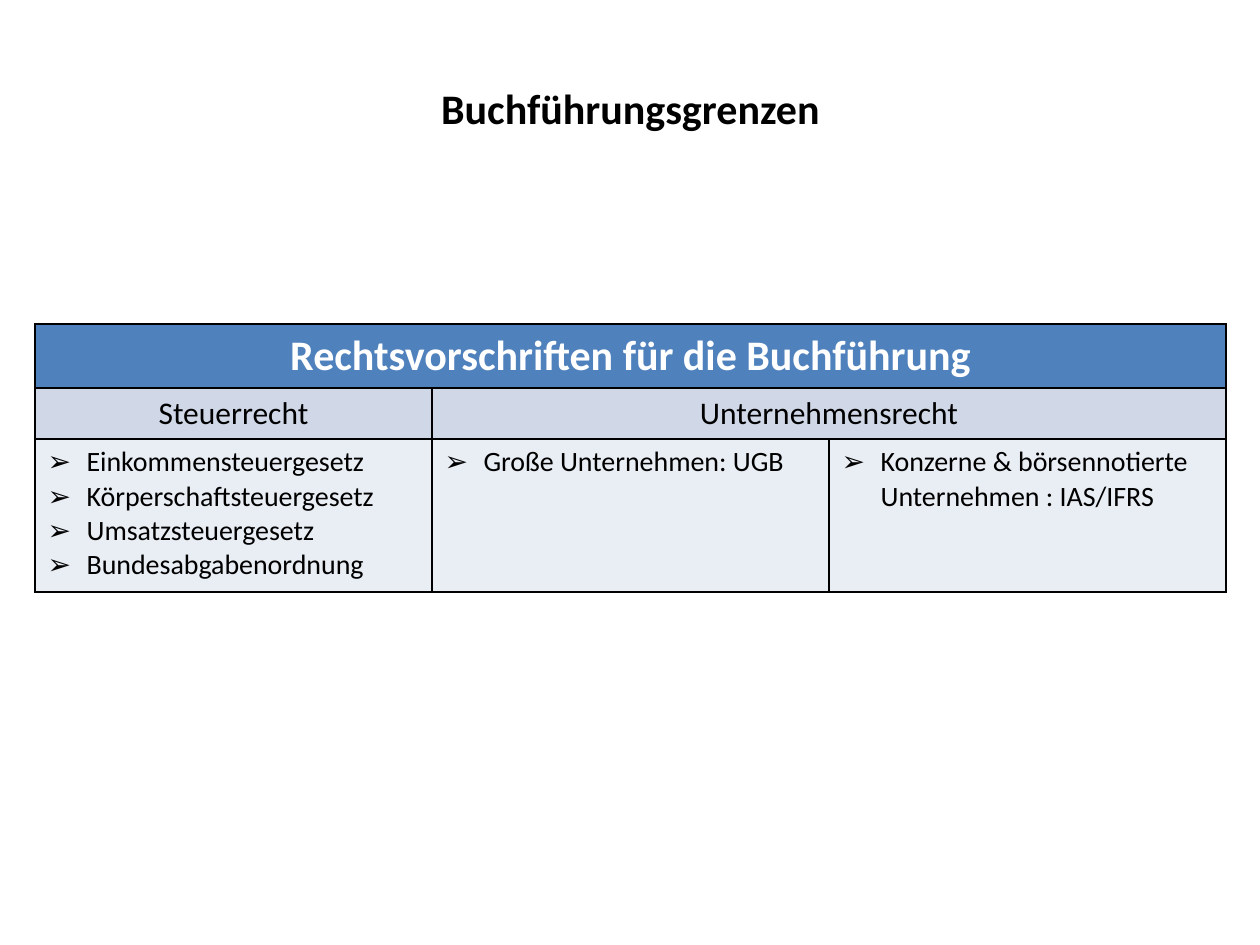
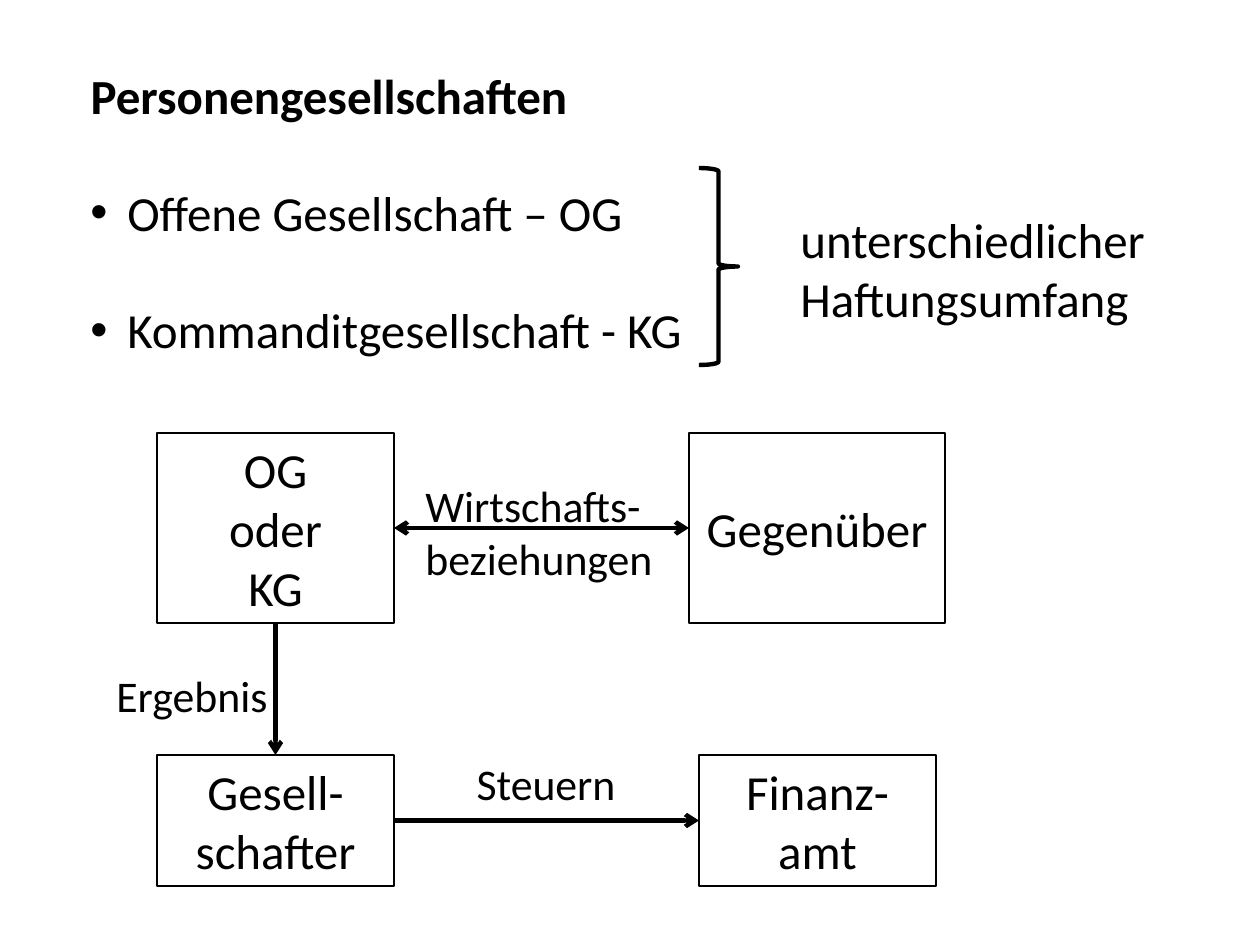
from lxml import etree
from pptx import Presentation
from pptx.dml.color import RGBColor
from pptx.enum.shapes import MSO_CONNECTOR, MSO_SHAPE
from pptx.enum.text import MSO_ANCHOR, MSO_AUTO_SIZE, PP_ALIGN
from pptx.oxml.ns import qn
from pptx.util import Pt

LEFT, CENTER = PP_ALIGN.LEFT, PP_ALIGN.CENTER
TOP, MIDDLE = MSO_ANCHOR.TOP, MSO_ANCHOR.MIDDLE
RECTANGLE, BRACE = MSO_SHAPE.RECTANGLE, MSO_SHAPE.RIGHT_BRACE
STRAIGHT, FIXED = MSO_CONNECTOR.STRAIGHT, MSO_AUTO_SIZE.NONE
SIDE_TOP, SIDE_LEFT, SIDE_BOTTOM, SIDE_RIGHT = range(4)
TITLE_ONLY = 5

FONT = "Calibri"
COLORS = {
    "ink": "000000",
    "white": "FFFFFF",
    "header": "4F81BD",
    "subheader": "D0D8E8",
    "body": "E9EDF4",
}
SCALE = 914400 / 126
SLIDE_BOX = (0, 0, 1260, 945)


def px(value):
    return round(value * SCALE)


def rgb(name):
    return RGBColor.from_string(COLORS[name])


def place(box, x, y, w, h):
    """Lengths in EMU of a part whose offset counts from the box."""
    return px(box[0] + x), px(box[1] + y), px(w), px(h)


def write(frame, text, size=28, color="ink", bold=False, align=LEFT,
          bullet=None, indent=0, gap=0):
    """Fill a text frame, one paragraph for each line of text."""
    for i, line in enumerate(text.split("\n")):
        paragraph = frame.paragraphs[0] if i == 0 else frame.add_paragraph()
        paragraph.alignment = align
        if i and gap:
            paragraph.space_before = Pt(gap)
        if bullet:
            props = paragraph._p.get_or_add_pPr()
            props.set("marL", str(px(indent)))
            props.set("indent", str(-px(indent)))
            etree.SubElement(props, qn("a:buFont"), typeface="Arial")
            etree.SubElement(props, qn("a:buChar"), char=bullet)
        run = paragraph.add_run()
        run.text = line
        run.font.name = FONT
        run.font.size = Pt(size)
        run.font.bold = bold
        run.font.color.rgb = rgb(color)


def set_frame(frame, anchor=TOP):
    frame.word_wrap = True
    frame.auto_size = FIXED
    frame.vertical_anchor = anchor


def add_titled_slide(prs, text, box, **fmt):
    slide = prs.slides.add_slide(prs.slide_layouts[TITLE_ONLY])
    title = slide.shapes.title
    title.left, title.top, title.width, title.height = place(SLIDE_BOX, *box)
    set_frame(title.text_frame)
    write(title.text_frame, text, bold=True, **fmt)
    return slide


def add_text(slide, text, bounds, **fmt):
    frame = slide.shapes.add_textbox(*bounds).text_frame
    set_frame(frame)
    write(frame, text, **fmt)


def add_outline(slide, preset, bounds, width):
    shape = slide.shapes.add_shape(preset, *bounds)
    shape.shadow.inherit = False
    shape.fill.background()
    shape.line.color.rgb = rgb("ink")
    shape.line.width = Pt(width)
    return shape


def add_party(slide, text, bounds):
    party = add_outline(slide, RECTANGLE, bounds, 0.75)
    set_frame(party.text_frame, MIDDLE)
    write(party.text_frame, text, align=CENTER)
    return party


def add_arrow(slide, start, start_side, end, end_side, both_ways=False):
    arrow = slide.shapes.add_connector(STRAIGHT, 0, 0, 0, 0)
    arrow.begin_connect(start, start_side)
    arrow.end_connect(end, end_side)
    arrow.line.color.rgb = rgb("ink")
    arrow.line.width = Pt(2.5)
    line = arrow.line._get_or_add_ln()
    if both_ways:
        etree.SubElement(line, qn("a:headEnd"), type="arrow")
    etree.SubElement(line, qn("a:tailEnd"), type="arrow")
    etree.SubElement(arrow._element.spPr, qn("a:effectLst"))


def set_borders(cell):
    props = cell._tc.get_or_add_tcPr()
    for i, side in enumerate(("lnL", "lnR", "lnT", "lnB")):
        line = etree.Element(qn("a:" + side), w=str(Pt(1)))
        fill = etree.SubElement(line, qn("a:solidFill"))
        etree.SubElement(fill, qn("a:srgbClr"), val=COLORS["ink"])
        props.insert(i, line)


def regulations_table(slide, box):
    row_heights = (63, 51, 153)
    row_fills = ("header", "subheader", "body")
    columns = 3
    table = slide.shapes.add_table(
        len(row_heights), columns, *place(box, 0, 0, *box[2:])).table
    table.first_row = table.horz_banding = False
    for column in table.columns:
        column.width = px(box[2] / columns)
    for row, height, fill in zip(table.rows, row_heights, row_fills):
        row.height = px(height)
        for cell in row.cells:
            cell.fill.solid()
            cell.fill.fore_color.rgb = rgb(fill)
            set_borders(cell)
    table.cell(0, 0).merge(table.cell(0, 2))
    table.cell(1, 1).merge(table.cell(1, 2))

    # Headings
    write(table.cell(0, 0).text_frame, "Rechtsvorschriften für die Buchführung",
          size=24, color="white", bold=True, align=CENTER)
    for column, area in enumerate(("Steuerrecht", "Unternehmensrecht")):
        write(table.cell(1, column).text_frame, area, size=18, align=CENTER)

    # Laws
    laws = (
        "Einkommensteuergesetz\nKörperschaftsteuergesetz\n"
        "Umsatzsteuergesetz\nBundesabgabenordnung",
        "Große Unternehmen: UGB",
        "Konzerne & börsennotierte Unternehmen : IAS/IFRS",
    )
    for column, law in enumerate(laws):
        write(table.cell(2, column).text_frame, law, size=16,
              bullet="➢", indent=39)


def legal_forms(slide, box):
    add_text(slide, "Offene Gesellschaft – OG\nKommanditgesellschaft - KG",
             place(box, 0, 8, 640, 192), bullet="•", indent=37, gap=33.6)
    add_outline(slide, BRACE, place(box, 621, 0, 39, 197), 2.5)
    add_text(slide, "unterschiedlicher Haftungsumfang",
             place(box, 710, 35, 394, 131))


def relations_diagram(slide, box):
    # Parties
    company = add_party(slide, "OG\noder\nKG", place(box, 0, 0, 237, 190))
    counterpart = add_party(slide, "Gegenüber", place(box, 532, 0, 256, 190))
    partners = add_party(slide, "Gesell-schafter", place(box, 0, 322, 237, 131))
    tax_office = add_party(slide, "Finanz-amt", place(box, 542, 322, 237, 131))

    # Relations
    add_arrow(slide, company, SIDE_RIGHT, counterpart, SIDE_LEFT, both_ways=True)
    add_arrow(slide, company, SIDE_BOTTOM, partners, SIDE_TOP)
    add_arrow(slide, partners, SIDE_RIGHT, tax_office, SIDE_LEFT)

    # Labels
    for label, x, y, height, align in (
        ("Wirtschafts-\nbeziehungen", 256, 40, 118, LEFT),
        ("Ergebnis", -98, 230, 66, CENTER),
        ("Steuern", 256, 318, 66, CENTER),
    ):
        add_text(slide, label, place(box, x, y, 266, height),
                 size=25, align=align)


def main():
    prs = Presentation()
    prs.slide_width, prs.slide_height = px(SLIDE_BOX[2]), px(SLIDE_BOX[3])

    limits = add_titled_slide(prs, "Buchführungsgrenzen", (35, 76, 1191, 63),
                              size=24, align=CENTER)
    regulations_table(limits, (35, 324, 1191, 267))

    partnerships = add_titled_slide(prs, "Personengesellschaften",
                                    (78, 59, 1074, 72))
    legal_forms(partnerships, (78, 168, 1104, 200))
    relations_diagram(partnerships, (157, 433, 788, 453))

    prs.save("out.pptx")


if __name__ == "__main__":
    main()
